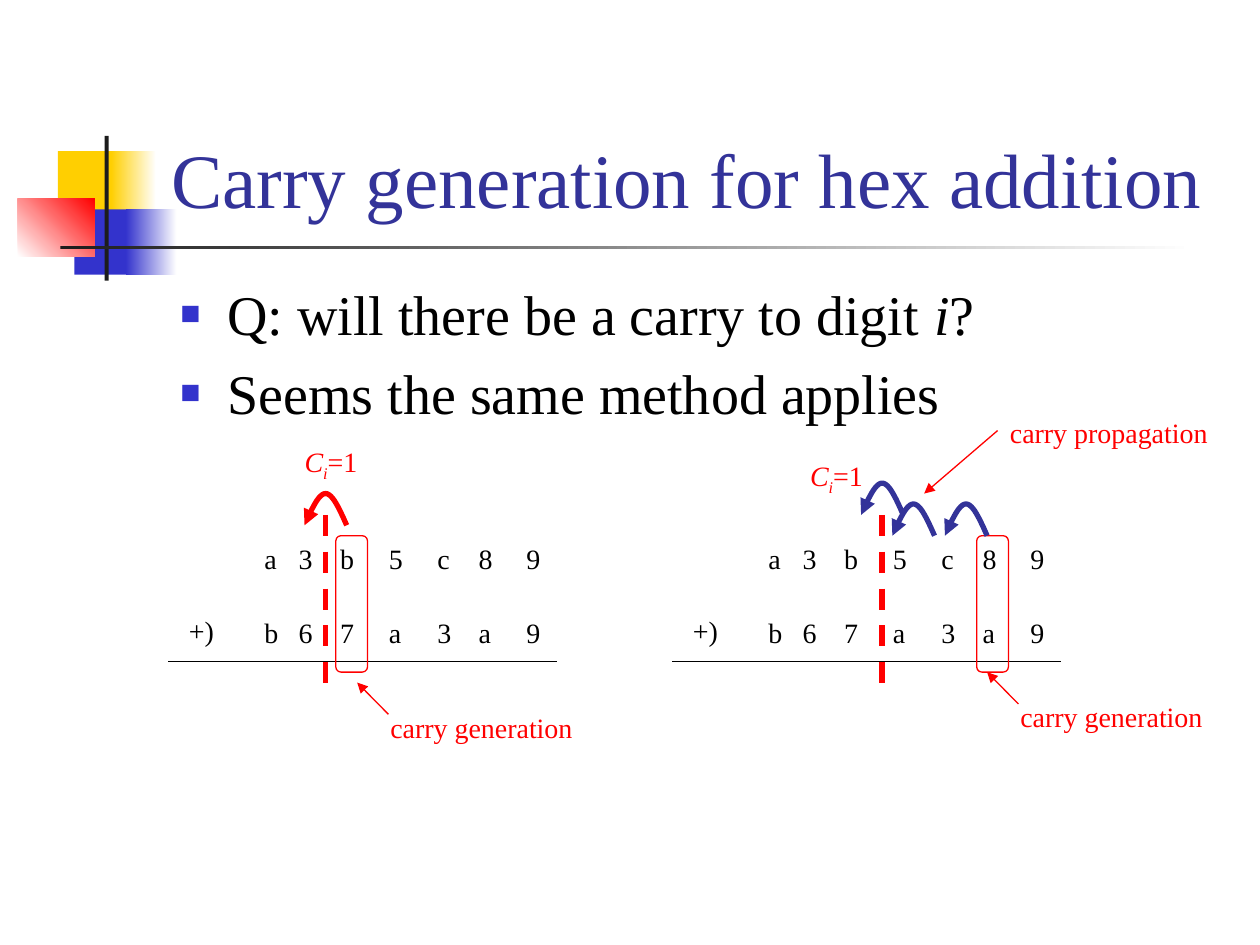
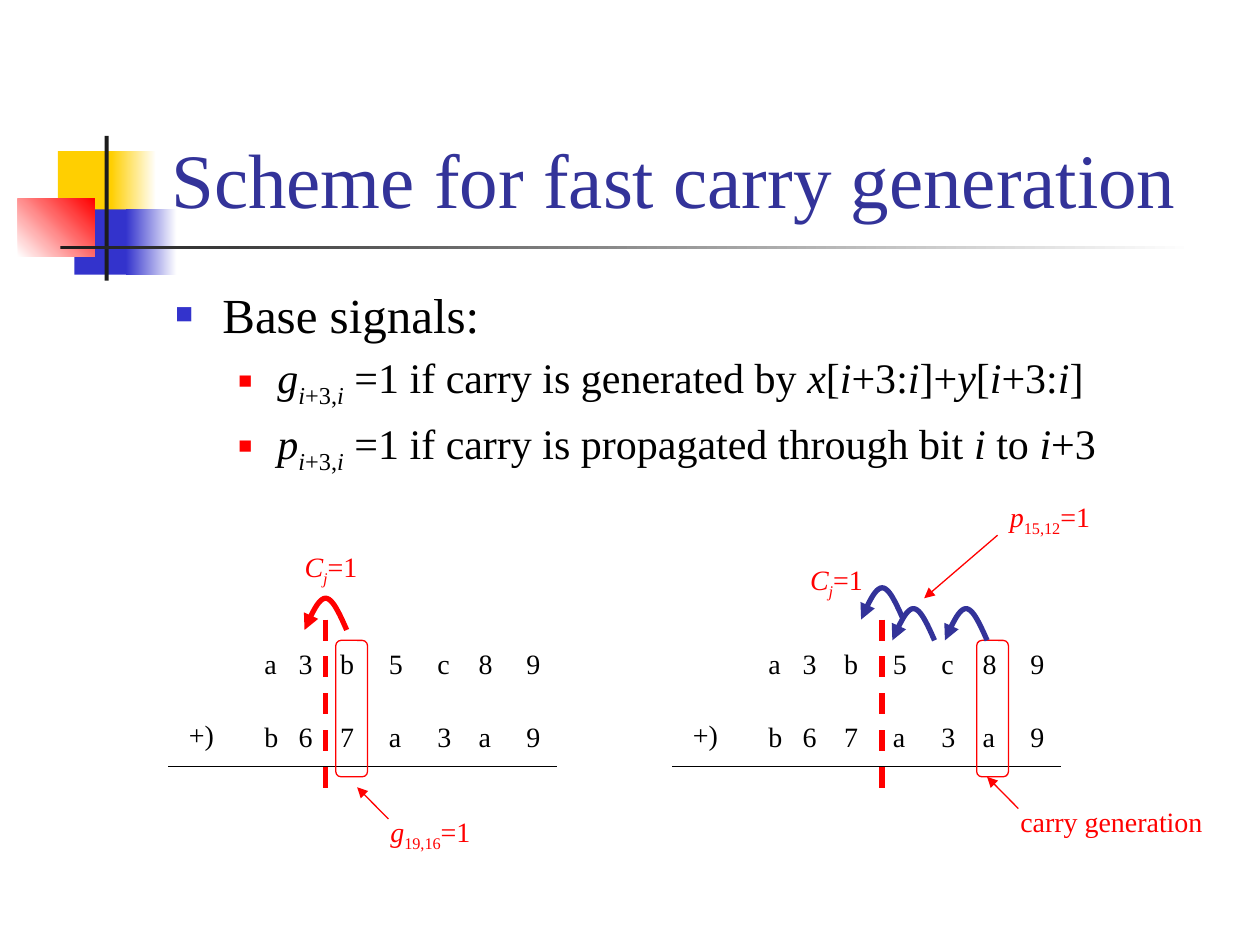
from lxml.etree import SubElement
from pptx import Presentation
from pptx.dml.color import RGBColor
from pptx.enum.dml import MSO_LINE
from pptx.enum.shapes import MSO_CONNECTOR, MSO_SHAPE
from pptx.enum.text import MSO_ANCHOR, MSO_AUTO_SIZE, PP_ALIGN
from pptx.oxml.ns import qn
from pptx.util import Cm, Pt

FONT = "Times New Roman"
BLACK, WHITE, RED, INDIGO, BLUE = "000000", "FFFFFF", "FF0000", "333399", "3333CC"
YELLOW, CHARCOAL = "FFCF01", "1C1C1C"

DECORATION = [
    ((1.17, 3.05, 1.22, 1.32), [YELLOW], 0),
    ((2.24, 3.05, 0.91, 1.32), [YELLOW, WHITE], 0),
    ((1.5, 4.22, 1.17, 1.32), [BLUE], 0),
    ((2.54, 4.22, 1.02, 1.32), [BLUE, WHITE], 0),
    ((0.36, 4.01, 1.55, 1.17), [WHITE, RED], 45),
    ((2.11, 2.74, 0.08, 2.92), [CHARCOAL], 0),
    ((1.22, 4.95, 22.86, 0.08), [CHARCOAL, WHITE], 0),
]
TITLE_PLACE = (3.2, 0.58, 21.64, 4.06)

ADDENDS = ["a3b5c89", "b67a3a9"]
DIGIT_TABS = [0.69, 1.53, 2.51, 3.49, 4.32, 5.28]
ARC_SIZE = (0.85, 0.64)
LABEL_HEIGHT = 0.94
LONG_LABEL, SHORT_LABEL = 4.22, 2.26

SUMS = [
    {"left": 3.39, "cut": 6.56, "digit": 6.77, "tip": (7.2, 2.96), "carry": (5.89, -1.96),
     "arcs": [(6.14, -0.85)], "arc_color": RED},
    {"left": 13.55, "cut": 17.78, "digit": 19.69, "tip": (19.9, 2.75), "carry": (16.08, -1.69),
     "arcs": [(19.05, -0.64), (17.99, -0.64), (17.36, -1.06)], "arc_color": INDIGO},
]

# Style codes: "i" is italic, "_" is subscript.
GENERATION = [("carry generation", "")]
INDEX = [("i", "i_"), ("+3,", "_"), ("i", "i_")]
RANGE = [("[", ""), ("i", "i"), ("+3:", ""), ("i", "i"), ("]", "")]

SLIDES = [
    {"title": "Carry generation for hex addition",
     "body_place": (3.38, 5.51, 21.59, 3.38),
     "bullets": [
         (0, 32, [("Q: will there be a carry to digit ", ""), ("i", "i"), ("?", "")]),
         (0, 32, [("Seems the same method applies", "")])],
     "top": 10.8,
     "carry": [("C", "i"), ("i", "i_"), ("=1", "")],
     "generation": [(GENERATION, LONG_LABEL), (GENERATION, LONG_LABEL)],
     "propagation": ([("carry propagation", "")], 4.52, -2.54)},
    {"title": "Scheme for fast carry generation",
     "body_place": (3.28, 5.61, 21.26, 4.34),
     "bullets": [
         (0, 28, [("Base signals:", "")]),
         (1, 24, [("g", "i"), *INDEX, (" =1 if carry is generated by ", ""),
                  ("x", "i"), *RANGE, ("+", ""), ("y", "i"), *RANGE]),
         (1, 24, [("p", "i"), *INDEX, (" =1 if carry is propagated through bit ", ""),
                  ("i", "i"), (" to ", ""), ("i", "i"), ("+3", "")])],
     "top": 12.91,
     "carry": [("C", "i"), ("j", "i_"), ("=1", "")],
     "generation": [([("g", "i"), ("19,16", "_"), ("=1", "")], SHORT_LABEL),
                    (GENERATION, LONG_LABEL)],
     "propagation": ([("p", "i"), ("15,12", "_"), ("=1", "")], SHORT_LABEL, -2.96)},
]
BULLET_LEVELS = [(0.95, -0.95, BLUE, 60), (2.06, -0.79, RED, 55)]


def color(value):
    """Turn a hex string into a colour."""
    return RGBColor.from_string(value)


def lengths(values):
    """Turn centimetre numbers into lengths."""
    return [Cm(value) for value in values]


def write(para, text, size=16, ink=BLACK, italic=False, subscript=False):
    """Add one formatted span to a paragraph."""
    span = para.add_run()
    span.text = text
    span.font.name, span.font.size, span.font.italic = FONT, Pt(size), italic
    span.font.color.rgb = color(ink)
    if subscript:
        span.font._element.set("baseline", "-25000")


def write_spans(para, spans, **style):
    """Write a list of (text, style code) pairs."""
    for text, code in spans:
        write(para, text, italic="i" in code, subscript="_" in code, **style)


def add_label(shapes, left, top, width, spans, ink=BLACK):
    """Add a one-line text box and return its paragraph."""
    box = shapes.add_textbox(*lengths((left, top, width, LABEL_HEIGHT)))
    frame = box.text_frame
    frame.word_wrap, frame.margin_right = True, 0
    write_spans(frame.paragraphs[0], spans, ink=ink)
    return frame.paragraphs[0]


def set_line(shape, ink, width, arrow=False):
    """Format an outline, with an optional arrowhead at its end."""
    shape.line.color.rgb = color(ink)
    shape.line.width = Pt(width)
    if arrow:
        SubElement(shape.get_or_add_ln(), qn("a:tailEnd"), type="triangle")


def add_line(shapes, start, end, ink=RED, width=0.75, arrow=False, dashed=False):
    """Add a straight line or arrow."""
    line = shapes.add_connector(MSO_CONNECTOR.STRAIGHT, *lengths((*start, *end)))
    set_line(line, ink, width)
    if dashed:
        line.line.dash_style = MSO_LINE.DASH
    if arrow:
        SubElement(line.get_or_add_ln(), qn("a:tailEnd"), type="triangle")
    SubElement(line.element.spPr, qn("a:effectLst"))


def add_arc(shapes, left, top, ink):
    """Add a hump-shaped arrow that runs from right to left."""
    width, height = ARC_SIZE
    steps = 12
    points = []
    for step in range(-steps, steps + 1):
        t = 1 - abs(step) / steps
        reach = (1 - t) ** 3 + 2 * t * (1 - t) ** 2 + t ** 2 * (1 - t)
        drop = (1 - t) ** 3 + 1.5 * t * (1 - t) ** 2
        side = 1 if step < 0 else -1
        points.append(lengths((left + width / 2 * (1 + side * reach), top + height * drop)))
    builder = shapes.build_freeform(*points[0])
    builder.add_line_segments(points[1:], close=False)
    arc = builder.convert_to_shape()
    arc.shadow.inherit = False
    arc.fill.background()
    set_line(arc, ink, 3, arrow=True)


def add_sum(shapes, left, top):
    """Add the grouped hex addition: two digit rows, plus sign and rule."""
    group = shapes.add_group_shape().shapes
    for index, digits in enumerate(ADDENDS):
        para = add_label(group, left + 1.69, top + 1.48 * index, 6.1, [("\t".join(digits), "")])
        tabs = SubElement(para._p.get_or_add_pPr(), qn("a:tabLst"))
        for stop in DIGIT_TABS:
            SubElement(tabs, qn("a:tab"), pos=str(Cm(stop)), algn="l")
    add_label(group, left + 0.17, top + 1.44, 1.02, [("+)", "")])
    add_line(group, (left, top + 2.54), (left + 7.83, top + 2.54), ink=BLACK)


def add_carry_diagram(shapes, layout, top, carry, generation):
    """Add one sum with its cut line, marked digit, arcs and labels."""
    add_sum(shapes, layout["left"], top)
    add_line(shapes, (layout["cut"], top - 0.42), (layout["cut"], top + 3.18),
             width=3, dashed=True)
    frame = shapes.add_shape(MSO_SHAPE.ROUNDED_RECTANGLE,
                             *lengths((layout["digit"], top, 0.64, 2.75)))
    frame.shadow.inherit = False
    frame.fill.background()
    set_line(frame, RED, 0.75)
    for left, rise in layout["arcs"]:
        add_arc(shapes, left, top + rise, layout["arc_color"])
    left, rise = layout["carry"]
    add_label(shapes, left, top + rise, 1.6, carry, ink=RED)
    x, y = layout["tip"][0], top + layout["tip"][1]
    spans, width = generation
    add_label(shapes, x + 0.42, y + 0.43, width, spans, ink=RED)
    add_line(shapes, (x + 0.63, y + 0.64), (x, y), arrow=True)


def place(shape, box):
    """Move a placeholder and stop it from shrinking its text."""
    shape.left, shape.top, shape.width, shape.height = lengths(box)
    shape.text_frame.auto_size = MSO_AUTO_SIZE.NONE


def add_bullets(body, bullets):
    """Fill the body placeholder with square-bulleted paragraphs."""
    frame = body.text_frame
    for index, (level, size, spans) in enumerate(bullets):
        para = frame.add_paragraph() if index else frame.paragraphs[0]
        para.level = level
        margin, indent, ink, percent = BULLET_LEVELS[level]
        properties = para._p.get_or_add_pPr()
        properties.set("marL", str(Cm(margin)))
        properties.set("indent", str(Cm(indent)))
        SubElement(SubElement(properties, qn("a:buClr")), qn("a:srgbClr"), val=ink)
        SubElement(properties, qn("a:buSzPct"), val=str(percent * 1000))
        SubElement(properties, qn("a:buFont"), typeface=FONT)
        SubElement(properties, qn("a:buChar"), char="■")
        write_spans(para, spans, size=size)


def decorate_master(deck, page):
    """Draw the shared squares and bars, then move them to the master."""
    for index, (box, fills, angle) in enumerate(DECORATION):
        block = page.shapes.add_shape(MSO_SHAPE.RECTANGLE, *lengths(box))
        block.shadow.inherit = False
        block.line.fill.background()
        if len(fills) == 1:
            block.fill.solid()
            block.fill.fore_color.rgb = color(fills[0])
        else:
            block.fill.gradient()
            block.fill.gradient_angle = angle
            for stop, ink in zip(block.fill.gradient_stops, fills):
                stop.color.rgb = color(ink)
        block.element.nvSpPr.cNvPr.set("id", str(100 + index))
        deck.slide_master.shapes.element.append(block.element)


def build_page(page, content):
    """Fill one page from its content."""
    title, body = page.placeholders
    place(title, TITLE_PLACE)
    title.text_frame.vertical_anchor = MSO_ANCHOR.BOTTOM
    heading = title.text_frame.paragraphs[0]
    heading.alignment = PP_ALIGN.LEFT
    write(heading, content["title"], size=44, ink=INDIGO)
    place(body, content["body_place"])
    add_bullets(body, content["bullets"])
    top = content["top"]
    for layout, generation in zip(SUMS, content["generation"]):
        add_carry_diagram(page.shapes, layout, top, content["carry"], generation)
    spans, width, rise = content["propagation"]
    add_label(page.shapes, 20.11, top + rise, width, spans, ink=RED)
    add_line(page.shapes, (20.11, top - 2.12), (18.63, top - 0.85), arrow=True)


def main():
    """Build and save the deck."""
    deck = Presentation()
    deck.slide_width, deck.slide_height = Cm(25.4), Cm(19.05)
    pages = [deck.slides.add_slide(deck.slide_layouts[1]) for _ in SLIDES]
    decorate_master(deck, pages[0])
    for page, content in zip(pages, SLIDES):
        build_page(page, content)
    deck.save("out.pptx")


if __name__ == "__main__":
    main()
